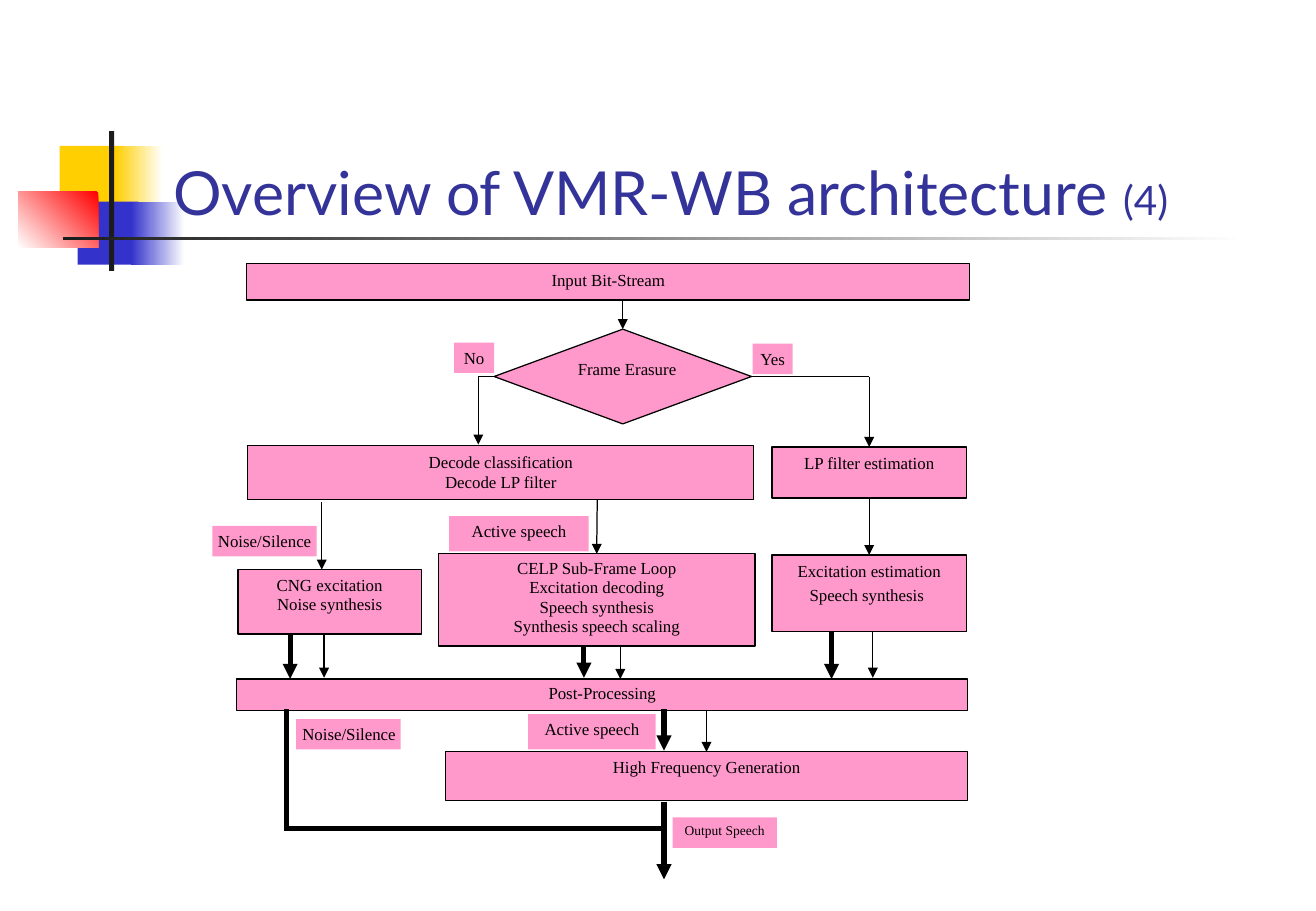
import pptx
import pptx.dml.color
import pptx.enum.shapes
import pptx.enum.text
import pptx.oxml
import pptx.util
from pptx.oxml.ns import qn

Inches = pptx.util.Inches
Pt = pptx.util.Pt
SHAPE = pptx.enum.shapes.MSO_SHAPE
ALIGN = pptx.enum.text.PP_ALIGN
ANCHOR = pptx.enum.text.MSO_ANCHOR
COLORS = {
    "yellow": "FFCF01", "blue": "3333CC", "red": "FF0000", "ink": "1C1C1C",
    "white": "FFFFFF", "title": "333399", "pink": "FF99CC", "black": "000000",
}
TOP, LEFT, BOTTOM, RIGHT = range(4)
WIDE, TIGHT = (0.1, 0.05), (0.04, 0.04)


def rgb(name):
    return pptx.dml.color.RGBColor.from_string(COLORS[name])


def write(shape, paragraphs, font="Times New Roman", size=10, color="black",
          align=ALIGN.CENTER, anchor=ANCHOR.TOP, inset=WIDE, spacing=None):
    frame = shape.text_frame
    frame.word_wrap = True
    frame.vertical_anchor = anchor
    frame.margin_left = frame.margin_right = Inches(inset[0])
    frame.margin_top = frame.margin_bottom = Inches(inset[1])
    for index, runs in enumerate(paragraphs):
        paragraph = frame.add_paragraph() if index else frame.paragraphs[0]
        paragraph.alignment = align
        if spacing:
            paragraph.line_spacing = spacing
        for text, run_size in [(runs, size)] if isinstance(runs, str) else runs:
            run = paragraph.add_run()
            run.text = text
            run.font.name = font
            run.font.size = Pt(run_size)
            run.font.color.rgb = rgb(color)


def draw(slide, box, place, color, kind=SHAPE.RECTANGLE, outlined=False, fade=None):
    left, top, width, height = place
    shape = slide.shapes.add_shape(kind, Inches(box[0] + left), Inches(box[1] + top),
                                   Inches(width), Inches(height))
    shape.shadow.inherit = False
    if fade is None:
        shape.fill.solid()
        shape.fill.fore_color.rgb = rgb(color)
    else:
        shape.fill.gradient()
        shape.fill.gradient_angle = fade
        for stop, name in zip(shape.fill.gradient_stops, (color, "white")):
            stop.color.rgb = rgb(name)
    if outlined:
        shape.line.color.rgb = rgb("black")
        shape.line.width = Pt(0.75)
    else:
        shape.line.fill.background()
    return shape


def link(slide, box, start, end, width=0.75, head=True, source=None, target=None):
    line = slide.shapes.add_connector(
        pptx.enum.shapes.MSO_CONNECTOR.STRAIGHT,
        Inches(box[0] + start[0]), Inches(box[1] + start[1]),
        Inches(box[0] + end[0]), Inches(box[1] + end[1]))
    if source:
        line.begin_connect(*source)
    if target:
        line.end_connect(*target)
    line.line.color.rgb = rgb("black")
    line.line.width = Pt(width)
    if head:
        tail = pptx.oxml.parse_xml(
            '<a:tailEnd xmlns:a="http://schemas.openxmlformats.org/drawingml/2006/main"'
            ' type="triangle"/>')
        line.line._get_or_add_ln().append(tail)
    properties = line._element.spPr
    properties.append(properties.makeelement(qn("a:effectLst"), {}))


def add_ornament(slide, box):
    for place, color, fade in [
        ((0.34, 0.12, 0.52, 0.52), "yellow", None),
        ((0.8, 0.12, 0.39, 0.52), "yellow", 0),
        ((0.49, 0.58, 0.5, 0.52), "blue", None),
        ((0.93, 0.58, 0.44, 0.52), "blue", 0),
        ((0, 0.5, 0.66, 0.46), "red", 225),
        ((0.75, 0, 0.04, 1.15), "ink", None),
        ((0.37, 0.87, 9.75, 0.03), "ink", 0),
    ]:
        draw(slide, box, place, color, fade=fade)


def add_title(slide, box):
    title = slide.shapes.add_textbox(*(Inches(length) for length in box))
    write(title, [[("Overview of VMR-WB architecture ", 36), ("(4)", 24)]],
          font="Lato", color="title", align=ALIGN.LEFT, anchor=ANCHOR.BOTTOM)


def add_flowchart(slide, box):
    def step(place, *paragraphs, **text_format):
        shape = draw(slide, box, place, "pink", outlined=True)
        write(shape, paragraphs, **text_format)
        return shape

    step((0.28, 0, 5.96, 0.3), "Input Bit-Stream")
    erasure = draw(slide, box, (2.32, 0.54, 2.12, 0.78), "pink",
                   kind=SHAPE.DIAMOND, outlined=True)
    question = draw(slide, box, (2.93, 0.74, 0.97, 0.37), "pink")
    write(question, ["Frame Erasure"], inset=TIGHT)
    step((0.29, 1.5, 4.17, 0.44), "Decode classification", "Decode LP filter")
    step((0.21, 2.52, 1.51, 0.53), "CNG excitation", "Noise synthesis", spacing=0.96)
    lp_filter = step((4.61, 1.51, 1.6, 0.42), "LP filter estimation")
    celp = step((1.86, 2.39, 2.61, 0.76), "CELP Sub-Frame Loop", "Excitation decoding",
                "Speech synthesis", "Synthesis speech scaling", inset=TIGHT, spacing=0.96)
    step((0.2, 3.42, 6.02, 0.26), "Post-Processing", inset=TIGHT, spacing=0.96)
    high_frequency = step((1.92, 4.02, 4.3, 0.4), "High Frequency Generation", spacing=0.96)
    excitation = step((4.61, 2.4, 1.6, 0.63), "Excitation estimation",
                      [("Speech synthesis", 10), (" ", 12)])

    for start, end, joints in [
        ((3.38, 0.3), (3.38, 0.54), {"target": (erasure, TOP)}),
        ((4.44, 0.93), (5.41, 0.93), {"source": (erasure, RIGHT), "head": False}),
        ((2.19, 0.93), (2.32, 0.93), {"target": (erasure, LEFT), "head": False}),
        ((2.19, 0.93), (2.19, 1.49), {}),
        ((5.41, 0.93), (5.41, 1.51), {"target": (lp_filter, TOP)}),
        ((5.41, 1.93), (5.41, 2.4),
         {"source": (lp_filter, BOTTOM), "target": (excitation, TOP)}),
        ((3.17, 1.94), (3.17, 2.39), {"target": (celp, TOP)}),
        ((0.9, 1.96), (0.9, 2.52), {}),
        ((0.92, 3.05), (0.92, 3.41), {}),
        ((5.44, 3.03), (5.44, 3.41), {}),
        ((3.36, 3.15), (3.36, 3.42), {}),
        ((4.07, 3.68), (4.07, 4.02), {"target": (high_frequency, TOP)}),
    ]:
        link(slide, box, start, end, **joints)

    for start, end, head in [
        ((0.64, 3.05), (0.64, 3.42), True),
        ((5.1, 3.03), (5.1, 3.42), True),
        ((3.06, 3.16), (3.06, 3.41), True),
        ((0.61, 3.67), (0.61, 4.66), False),
        ((3.72, 3.67), (3.72, 4.01), True),
        ((3.72, 4.43), (3.72, 5.07), True),
        ((0.59, 4.65), (3.73, 4.65), False),
    ]:
        link(slide, box, start, end, width=3, head=head)

    for place, label, text_format in [
        ((0, 2.16, 0.86, 0.25), "Noise/Silence", {"inset": TIGHT}),
        ((1.95, 2.08, 1.15, 0.29), "Active speech", {"spacing": 0.96}),
        ((1.99, 0.65, 0.33, 0.25), "No", {"inset": TIGHT}),
        ((4.45, 0.66, 0.33, 0.25), "Yes", {"inset": TIGHT}),
        ((3.79, 4.56, 0.86, 0.25), "Output Speech", {"inset": TIGHT, "size": 8}),
        ((0.69, 3.75, 0.86, 0.25), "Noise/Silence", {"inset": TIGHT, "align": ALIGN.RIGHT}),
        ((2.6, 3.71, 1.05, 0.29), "Active speech", {"spacing": 0.96}),
    ]:
        write(draw(slide, box, place, "pink"), [label], **text_format)


def main():
    presentation = pptx.Presentation()
    presentation.slide_width = Inches(10.84)
    presentation.slide_height = Inches(7.5)
    slide = presentation.slides.add_slide(presentation.slide_layouts[6])
    add_ornament(slide, (0.15, 1.08, 10.12, 1.15))
    add_title(slide, (1.33, 0.67, 9.23, 1.25))
    add_flowchart(slide, (1.75, 2.17, 6.22, 5.07))
    presentation.save("out.pptx")


if __name__ == "__main__":
    main()
